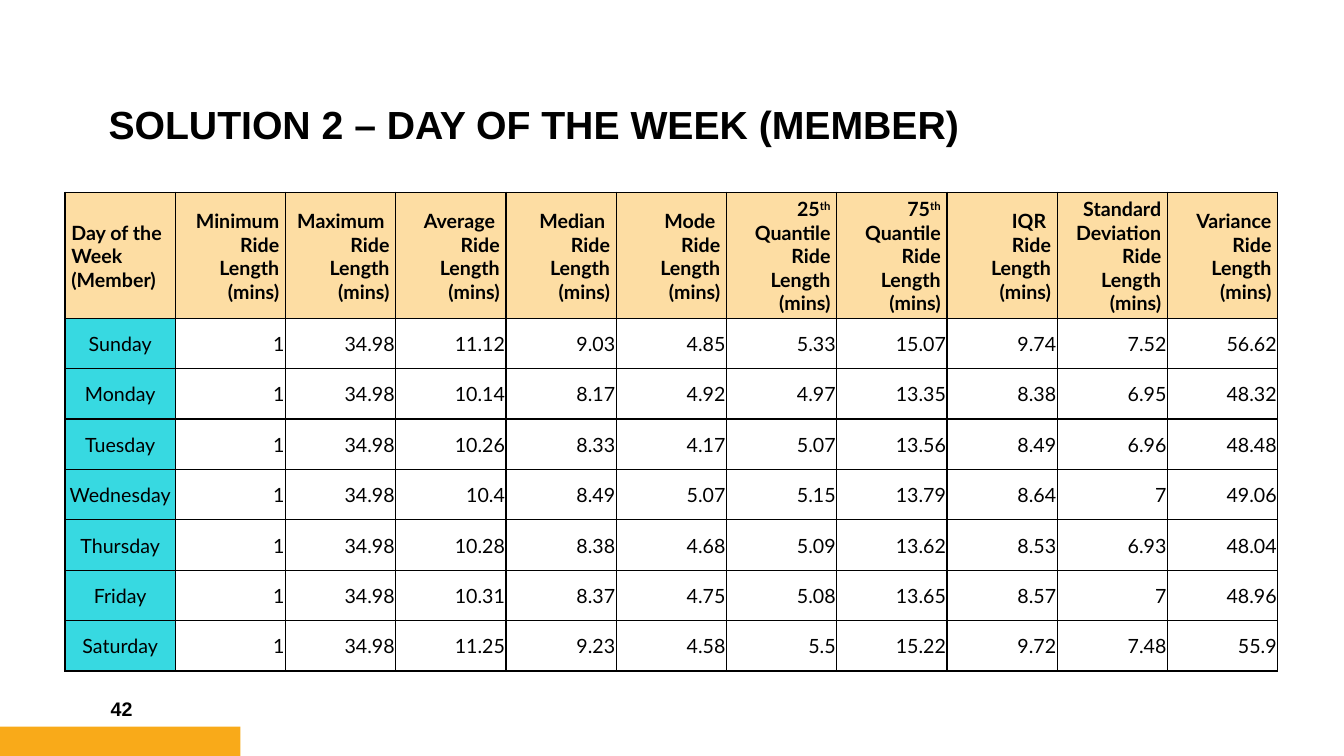
from lxml import etree
from pptx import Presentation
from pptx import util as u
from pptx.dml.color import RGBColor
from pptx.enum import shapes, text
from pptx.oxml.ns import qn

PX = 9525
COLORS = {"ink": "000000", "bar": "F9AA19", "head": "FDDDA3",
          "day": "37D9E1", "cell": "FFFFFF"}
ALIGN = text.PP_ALIGN
ANCHOR = text.MSO_ANCHOR

# Line breaks split paragraphs; carets enclose superscripts
HEADS = [
    "Day of the Week (Member)",
    "Minimum Ride Length\n(mins)",
    "Maximum \nRide Length\n(mins)",
    "Average \nRide Length\n(mins)",
    "Median \nRide Length\n(mins)",
    "Mode \nRide Length\n(mins)",
    "25^th^ Quantile Ride Length\n(mins)",
    "75^th^ Quantile Ride Length\n(mins)",
    "IQR \nRide Length\n(mins)",
    "Standard Deviation Ride Length\n(mins)",
    "Variance Ride Length\n(mins)",
]
DAYS = [
    "Sunday 1 34.98 11.12 9.03 4.85 5.33 15.07 9.74 7.52 56.62",
    "Monday 1 34.98 10.14 8.17 4.92 4.97 13.35 8.38 6.95 48.32",
    "Tuesday 1 34.98 10.26 8.33 4.17 5.07 13.56 8.49 6.96 48.48",
    "Wednesday 1 34.98 10.4 8.49 5.07 5.15 13.79 8.64 7 49.06",
    "Thursday 1 34.98 10.28 8.38 4.68 5.09 13.62 8.53 6.93 48.04",
    "Friday 1 34.98 10.31 8.37 4.75 5.08 13.65 8.57 7 48.96",
    "Saturday 1 34.98 11.25 9.23 4.58 5.5 15.22 9.72 7.48 55.9",
]


class Deck:
    def __init__(self, width, height):
        self.prs = Presentation()
        self.prs.slide_width, self.prs.slide_height = width * PX, height * PX
        self.slide = self.prs.slides.add_slide(self.prs.slide_layouts[6])

    def color(self, name):
        return RGBColor.from_string(COLORS[name])

    def words(self, frame, words, size, face, bold, align=ALIGN.LEFT, space=None):
        for i, line in enumerate(words.split("\n")):
            para = frame.add_paragraph() if i else frame.paragraphs[0]
            para.alignment, para.line_spacing = align, space
            font = para.font
            font.size, font.name, font.bold = u.Pt(size), face, bold
            font.color.rgb = self.color("ink")
            for j, part in enumerate(line.split("^")):
                run = para.add_run()
                run.text = part
                if j % 2:
                    run._r.get_or_add_rPr().set("baseline", "30000")

    def rect(self, x, y, w, h, fill):
        shape = self.slide.shapes.add_shape(
            shapes.MSO_SHAPE.RECTANGLE, x * PX, y * PX, w * PX, h * PX)
        shape.shadow.inherit = False
        shape.fill.solid()
        shape.fill.fore_color.rgb = self.color(fill)
        shape.line.fill.background()

    def label(self, x, y, w, h, words, size, anchor, space=None):
        box = self.slide.shapes.add_textbox(x * PX, y * PX, w * PX, h * PX)
        frame = box.text_frame
        frame.word_wrap, frame.vertical_anchor = True, anchor
        self.words(frame, words, size, "Arial", True, space=space)

    def border(self, cell):
        props = cell._tc.get_or_add_tcPr()
        for side in ("lnL", "lnR", "lnT", "lnB"):
            line = etree.SubElement(props, qn("a:" + side), w=str(u.Pt(1)))
            fill = etree.SubElement(line, qn("a:solidFill"))
            etree.SubElement(fill, qn("a:srgbClr"), val=COLORS["ink"])

    def cell(self, cell, words, fill, align, bold, pads):
        self.border(cell)
        cell.fill.solid()
        cell.fill.fore_color.rgb = self.color(fill)
        cell.vertical_anchor = ANCHOR.MIDDLE
        (cell.margin_left, cell.margin_top,
         cell.margin_right, cell.margin_bottom) = [pad * PX for pad in pads]
        self.words(cell.text_frame, words, 14, "Lato", bold, align)

    def table(self, x, y, wide, tall, top, heads, rows):
        high = top + tall * len(rows)
        grid = self.slide.shapes.add_table(
            len(rows) + 1, len(heads), x * PX, y * PX,
            wide * len(heads) * PX, high * PX).table
        grid.first_row = grid.horz_banding = False
        for col in grid.columns:
            col.width = wide * PX
        for r, row in enumerate([heads] + rows):
            grid.rows[r].height = (tall if r else top) * PX
            for c, words in enumerate(row):
                first = ALIGN.CENTER if r else ALIGN.LEFT
                fill = "head" if not r else "cell" if c else "day"
                self.cell(grid.cell(r, c), words, fill,
                          ALIGN.RIGHT if c else first, not r,
                          (1, 1, 1, 0) if r else (6, 5, 6, 3))


def main():
    deck = Deck(1280, 720)
    # Footer bar
    deck.rect(0, 692, 229, 28, "bar")
    # Title and page number
    deck.label(94, 14, 924, 132, "SOLUTION 2 – DAY OF THE WEEK (MEMBER)",
               28, ANCHOR.BOTTOM, 0.9)
    deck.label(96, 656, 125, 38, "42", 14, ANCHOR.MIDDLE)
    # Ride lengths by day
    deck.table(62, 183, 105, 48, 120, HEADS, [day.split() for day in DAYS])
    deck.prs.save("out.pptx")


if __name__ == "__main__":
    main()
